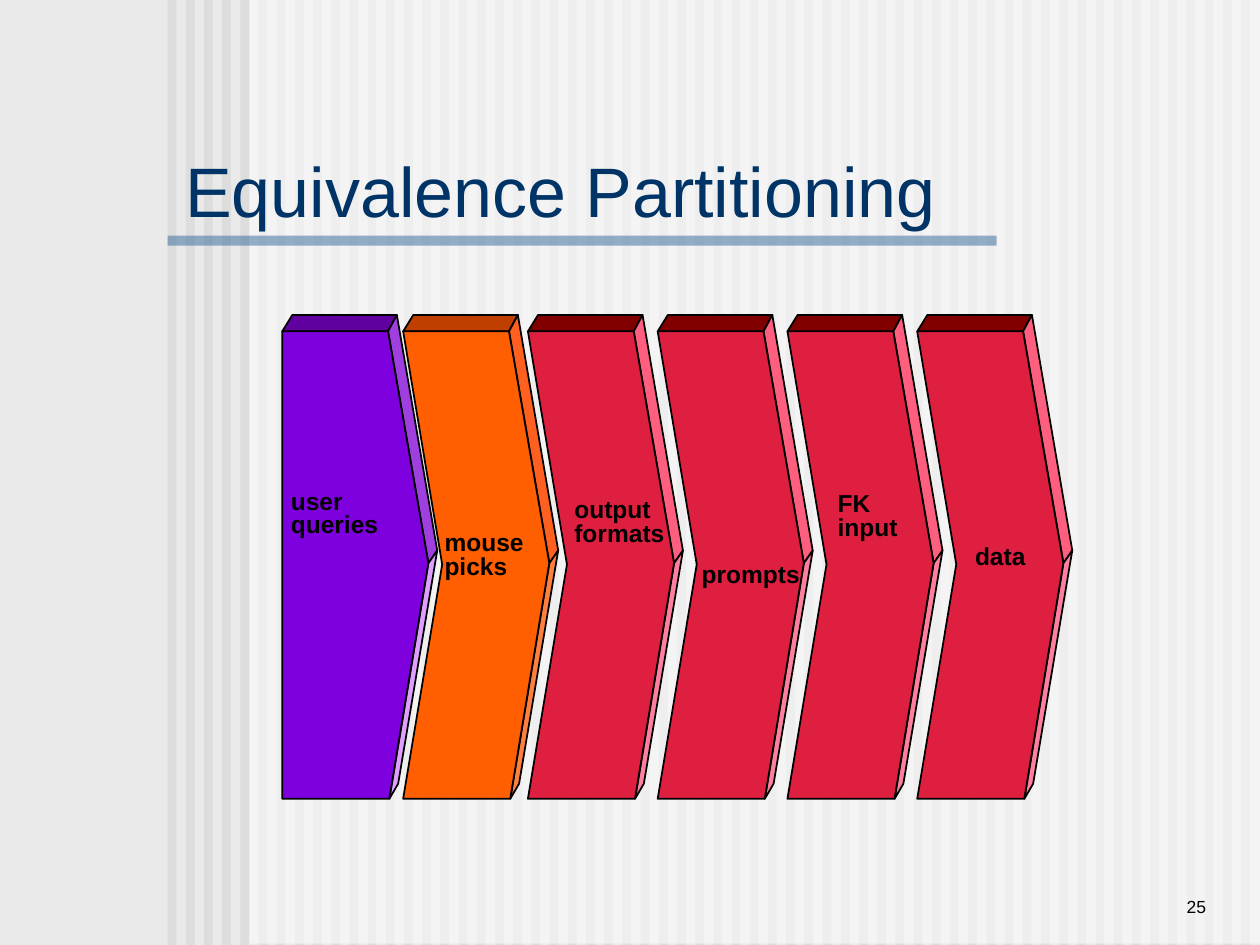
import pptx
import pptx.dml.color
import pptx.enum.shapes
import pptx.enum.text
import pptx.oxml
import pptx.util

Inches = pptx.util.Inches
RGBColor = pptx.dml.color.RGBColor
Align = pptx.enum.text.PP_ALIGN
Anchor = pptx.enum.text.MSO_ANCHOR

BLACK = RGBColor(0x00, 0x00, 0x00)
WHITE = RGBColor(0xFF, 0xFF, 0xFF)
PAPER = RGBColor(0xEA, 0xEA, 0xEA)
STRIPE = RGBColor(0xDD, 0xDD, 0xDD)
RULE_BLUE = RGBColor(0x33, 0x66, 0x99)
TITLE_BLUE = RGBColor(0x00, 0x33, 0x66)
# Face colours: top, upper side, lower side, front
PURPLE = (RGBColor(0x5F, 0x00, 0x9F), RGBColor(0x9F, 0x3F, 0xDF),
          RGBColor(0xDF, 0x9F, 0xFF), RGBColor(0x7F, 0x00, 0xDF))
ORANGE = (RGBColor(0xBF, 0x3F, 0x00), RGBColor(0xFF, 0x5F, 0x1F),
          RGBColor(0xFF, 0x7F, 0x3F), RGBColor(0xFF, 0x5F, 0x00))
RED = (RGBColor(0x80, 0x00, 0x00), RGBColor(0xFF, 0x5F, 0x7F),
       RGBColor(0xFF, 0x7F, 0x9F), RGBColor(0xDF, 0x1F, 0x3F))


def write_text(frame, text, size=14, color=BLACK, bold=False, align=Align.LEFT,
               anchor=Anchor.TOP, spacing=None, wrap=True):
    """Fill a text frame, one paragraph for each line of the text."""
    frame.auto_size = pptx.enum.text.MSO_AUTO_SIZE.NONE
    frame.word_wrap = wrap
    frame.vertical_anchor = anchor
    frame.text = text
    for para in frame.paragraphs:
        para.alignment = align
        para.line_spacing = spacing
        for span in para.runs:
            span.font.name = "Arial"
            span.font.size = pptx.util.Pt(size)
            span.font.bold = bold
            span.font.color.rgb = color


def add_block(page, left, top, width, height, color, alpha=None):
    """Add a borderless rectangle; alpha is the opacity in percent."""
    block = page.shapes.add_shape(
        pptx.enum.shapes.MSO_SHAPE.RECTANGLE,
        Inches(left), Inches(top), Inches(width), Inches(height))
    block.shadow.inherit = False
    block.line.fill.background()
    block.fill.solid()
    block.fill.fore_color.rgb = color
    if alpha is not None:
        srgb = block._element.spPr.find(".//" + pptx.oxml.ns.qn("a:srgbClr"))
        opacity = pptx.oxml.xmlchemy.OxmlElement("a:alpha")
        opacity.set("val", str(alpha * 1000))
        srgb.append(opacity)
    return block


deck = pptx.Presentation()
deck.slide_width = Inches(10)
deck.slide_height = Inches(7.5)
page = deck.slides.add_slide(deck.slide_layouts[5])
page.background.fill.solid()
page.background.fill.fore_color.rgb = PAPER

# Striped backdrop, veiled on the right, with the rule under the title
STRIPE_COUNT = 60
STRIPE_STEP = (9.85 - 1.33) / (STRIPE_COUNT - 1)
for index in range(STRIPE_COUNT):
    add_block(page, 1.33 + index * STRIPE_STEP, 0, 0.07, 7.5, STRIPE)
add_block(page, 1.98, -0.01, 8.02, 7.5, WHITE, alpha=50)
rule = add_block(page, 1.33, 1.87, 6.58, 0.08, RULE_BLUE, alpha=50)

title = page.shapes.title
title.left, title.top = Inches(1.37), Inches(1.33)
title.width, title.height = Inches(6.76), Inches(0.35)
write_text(title.text_frame, "Equivalence Partitioning", size=40,
           color=TITLE_BLUE, anchor=Anchor.MIDDLE)
rule._element.addnext(title._element)

# Chevron outlines, measured from the left edge of each chevron
TOP_FACE = [(0.84, 2.63), (0, 2.63), (0.08, 2.5), (0.91, 2.5)]
UPPER_SIDE = [(0.91, 2.5), (0.84, 2.63), (1.16, 4.47), (1.23, 4.37)]
LOWER_SIDE = [(1.23, 4.37), (1.16, 4.47), (0.85, 6.34), (0.92, 6.22)]
FLAT_FRONT = [(0.84, 2.63), (0, 2.63), (0, 6.34), (0.85, 6.34), (1.16, 4.47)]
NOTCHED_FRONT = FLAT_FRONT[:2] + [(0.31, 4.48)] + FLAT_FRONT[2:]

chevrons = [
    (2.24, PURPLE, FLAT_FRONT),
    (4.19, RED, NOTCHED_FRONT),
    (3.2, ORANGE, NOTCHED_FRONT),
    (5.22, RED, NOTCHED_FRONT),
    (6.25, RED, NOTCHED_FRONT),
    (7.28, RED, NOTCHED_FRONT),
]
for left, colors, front in chevrons:
    for outline, color in zip((TOP_FACE, UPPER_SIDE, LOWER_SIDE, front), colors):
        points = [(Inches(left + x), Inches(y)) for x, y in outline]
        builder = page.shapes.build_freeform(*points[0])
        builder.add_line_segments(points[1:], close=True)
        face = builder.convert_to_shape()
        face.shadow.inherit = False
        face.fill.solid()
        face.fill.fore_color.rgb = color
        face.line.color.rgb = BLACK
        face.line.width = pptx.util.Pt(1)

labels = [
    ("user\nqueries", 2.21, 3.85, 0.89, 0.47),
    ("mouse\npicks", 3.43, 4.18, 0.83, 0.47),
    ("output\nformats", 4.46, 3.92, 0.91, 0.47),
    ("prompts", 5.47, 4.43, 0.98, 0.28),
    ("FK\ninput", 6.55, 3.87, 0.68, 0.47),
    ("data", 7.64, 4.29, 0.6, 0.28),
]
for text, *place in labels:
    box = page.shapes.add_textbox(*map(Inches, place))
    write_text(box.text_frame, text, bold=True, spacing=0.8, wrap=False)

number_box = page.shapes.add_textbox(
    Inches(8.25), Inches(6.83), Inches(1.42), Inches(0.5))
write_text(number_box.text_frame, "25", size=10, align=Align.RIGHT,
           anchor=Anchor.BOTTOM)

deck.save("out.pptx")
